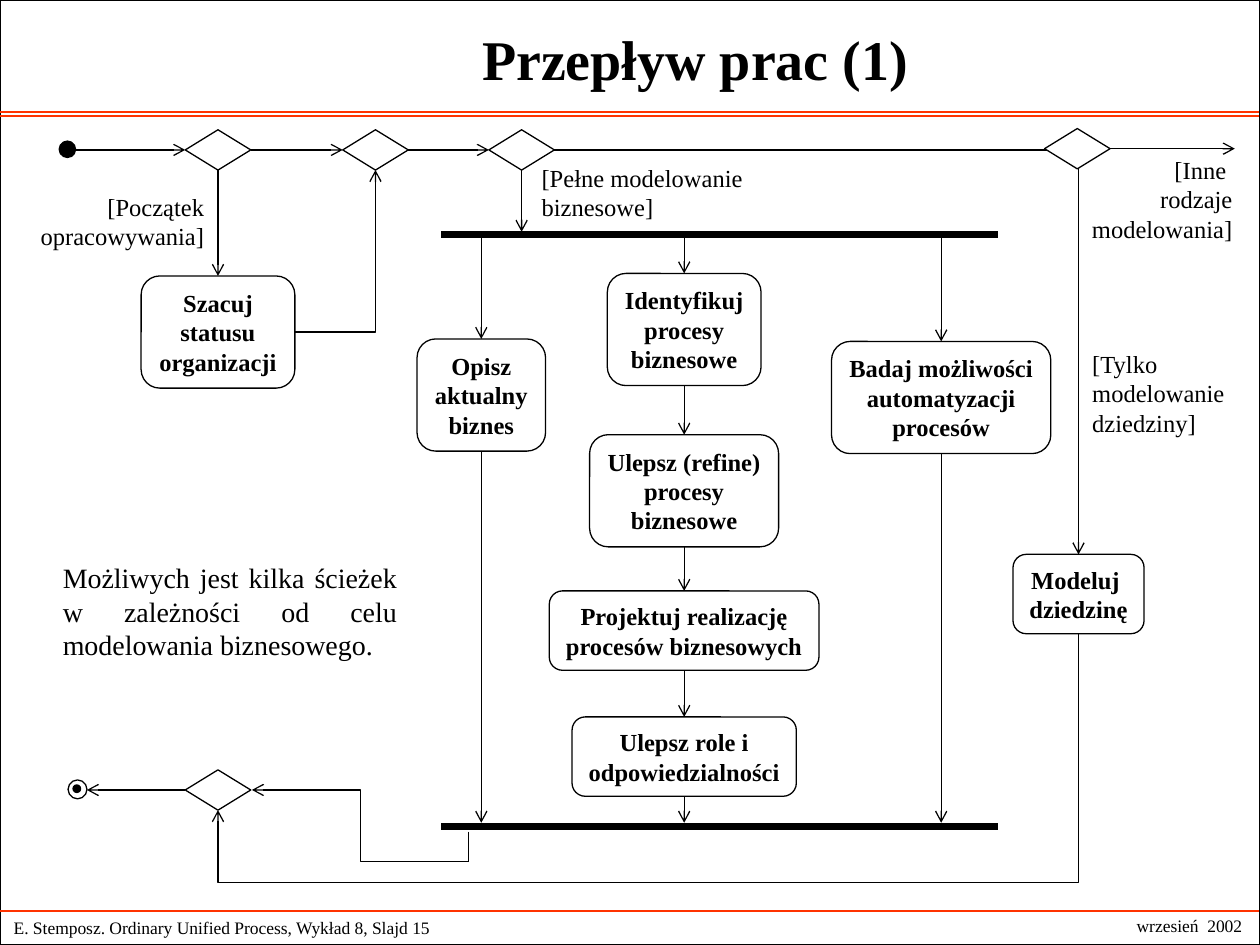
from dataclasses import dataclass

from lxml import etree
from pptx import Presentation
from pptx.dml.color import RGBColor
from pptx.enum.shapes import MSO_CONNECTOR, MSO_SHAPE
from pptx.enum.text import MSO_ANCHOR, MSO_AUTO_SIZE, PP_ALIGN
from pptx.oxml.ns import qn
from pptx.util import Inches, Pt

STRAIGHT, ELBOW = MSO_CONNECTOR.STRAIGHT, MSO_CONNECTOR.ELBOW
RECTANGLE, ROUNDED = MSO_SHAPE.RECTANGLE, MSO_SHAPE.ROUNDED_RECTANGLE
DIAMOND, OVAL = MSO_SHAPE.DIAMOND, MSO_SHAPE.OVAL
LEFT, CENTER, RIGHT, JUSTIFY = PP_ALIGN.LEFT, PP_ALIGN.CENTER, PP_ALIGN.RIGHT, PP_ALIGN.JUSTIFY
TOP, MIDDLE = MSO_ANCHOR.TOP, MSO_ANCHOR.MIDDLE
FIT_SHAPE, FIXED = MSO_AUTO_SIZE.SHAPE_TO_FIT_TEXT, MSO_AUTO_SIZE.NONE
TOP_SIDE, LEFT_SIDE, BOTTOM_SIDE, RIGHT_SIDE = range(4)


@dataclass(frozen=True)
class Theme:
    """Colours, type sizes and line widths of the slide."""
    ink: RGBColor = RGBColor(0, 0, 0)
    paper: RGBColor = RGBColor(255, 255, 255)
    rule: RGBColor = RGBColor(0xFF, 0x33, 0)
    font: str = "Times New Roman"
    title: int = 32
    body: int = 16
    label: int = 14
    footer: int = 10
    thin: float = 0.75
    bar: float = 4


THEME = Theme()


def write(frame, text, size, align, bold=False, wrap=False, fit=FIT_SHAPE, anchor=MIDDLE):
    """Fill a text frame with one paragraph per line, with slack on its loose sides."""
    frame.word_wrap = wrap
    frame.auto_size = fit
    frame.vertical_anchor = anchor
    frame.margin_left = Inches(0.1 if align in (LEFT, JUSTIFY) else 0.05)
    frame.margin_right = Inches(0.1 if align in (RIGHT, JUSTIFY) else 0.05)
    frame.text = text
    for paragraph in frame.paragraphs:
        paragraph.alignment = align
        paragraph.font.name = THEME.font
        paragraph.font.size = Pt(size)
        paragraph.font.bold = bold
        paragraph.font.color.rgb = THEME.ink


def add_text(slide, place, text, size=THEME.label, align=LEFT, **options):
    """Add a text box at left, top, width, height."""
    box = slide.shapes.add_textbox(*map(Inches, place))
    write(box.text_frame, text, size, align, **options)


def add_node(slide, kind, place, fill=None):
    """Add an outlined preset shape, unfilled unless a fill is given."""
    node = slide.shapes.add_shape(kind, *map(Inches, place))
    node.shadow.inherit = False
    node.line.color.rgb = THEME.ink
    node.line.width = Pt(THEME.thin)
    if fill is None:
        node.fill.background()
    else:
        node.fill.solid()
        node.fill.fore_color.rgb = fill
    return node


def add_decision(slide, left, top, fill=None):
    """Add a decision diamond."""
    return add_node(slide, DIAMOND, (left, top, 0.52, 0.32), fill)


def add_activity(slide, place, text):
    """Add a rounded activity box with bold centred text."""
    activity = add_node(slide, ROUNDED, place, THEME.paper)
    write(activity.text_frame, text, THEME.label, CENTER, bold=True)
    return activity


def add_link(slide, start, end, kind=STRAIGHT, arrow=True, color=THEME.ink, width=THEME.thin):
    """Link two ends, each a point in inches or a shape with its side."""
    points = [(0, 0) if hasattr(spot[0], "shape_id") else spot for spot in (start, end)]
    link = slide.shapes.add_connector(kind, *(Inches(n) for point in points for n in point))
    for spot, join in ((start, link.begin_connect), (end, link.end_connect)):
        if hasattr(spot[0], "shape_id"):
            join(*spot)
    link.line.color.rgb = color
    link.line.width = Pt(width)
    if arrow:
        etree.SubElement(link.line._get_or_add_ln(), qn("a:tailEnd"), type="arrow")
    etree.SubElement(link._element.spPr, qn("a:effectLst"))
    return link


def add_corner(slide, start, end):
    """Add an arrow with one bend, leaving sideways."""
    link = add_link(slide, start, end, ELBOW)
    link._element.spPr.find(qn("a:prstGeom")).set("prst", "bentConnector2")


def add_loop_below(slide, start, end, reach):
    """Add an arrow that drops by a ratio of its height and rises into its end."""
    link = add_link(slide, start, end, ELBOW)
    left, top, width, height = link.left, link.top, link.width, link.height
    link.left, link.top = left + (width - height) // 2, top + (height - width) // 2
    link.width, link.height = height, width
    properties = link._element.spPr
    frame = properties.find(qn("a:xfrm"))
    frame.attrib.pop("flipH", None)
    frame.set("rot", str(90 * 60000))
    adjustments = properties.find(qn("a:prstGeom")).find(qn("a:avLst"))
    etree.SubElement(adjustments, qn("a:gd"), name="adj1", fmla=f"val {round(reach * 100000)}")


def add_page_frame(slide):
    """Add the page border, coloured rules, footer and title."""
    add_node(slide, RECTANGLE, (0, 0, 10, 7.5), THEME.paper)
    for y in (0.89, 0.92, 7.23):
        add_link(slide, (-0.01, y), (9.99, y), arrow=False, color=THEME.rule)
    add_text(slide, (0.01, 7.23, 4.48, 0.27),
             "E. Stemposz. Ordinary Unified Process, Wykład 8, Slajd 15", THEME.footer, wrap=True)
    add_text(slide, (8.92, 7.21, 1.04, 0.27), "wrzesień  2002", THEME.footer, CENTER)
    add_text(slide, (1.16, 0, 8.83, 0.92), "Przepływ prac (1) ", THEME.title, CENTER,
             bold=True, wrap=True, fit=FIXED)


def add_workflow(slide):
    """Add the activity diagram."""
    add_node(slide, OVAL, (0.47, 1.12, 0.13, 0.13), THEME.ink)
    opening, status_known, full_model = [add_decision(slide, x, 1.03) for x in (1.47, 2.72, 3.88)]
    closing = add_decision(slide, 1.47, 6.11)
    for y in (1.86, 6.56):
        add_link(slide, (3.5, y), (7.92, y), arrow=False, width=THEME.bar)

    assess = add_activity(slide, (1.12, 2.19, 1.22, 0.89), "Szacuj\nstatusu\norganizacji")
    describe = add_activity(slide, (3.31, 2.69, 1.02, 0.89), "Opisz\naktualny\nbiznes")
    explore = add_activity(slide, (6.6, 2.71, 1.74, 0.89),
                           "Badaj możliwości\nautomatyzacji\nprocesów")
    model = add_activity(slide, (8.04, 4.4, 1.04, 0.63), "Modeluj \ndziedzinę")
    process_steps = [add_activity(slide, place, text) for place, text in (
        ((4.82, 2.17, 1.22, 0.89), "Identyfikuj\nprocesy\nbiznesowe"),
        ((4.68, 3.45, 1.5, 0.89), "Ulepsz (refine)\nprocesy\nbiznesowe"),
        ((4.36, 4.69, 2.14, 0.63), "Projektuj realizację\nprocesów biznesowych"),
        ((4.54, 5.69, 1.78, 0.63), "Ulepsz role i\nodpowiedzialności"),
    )]

    add_link(slide, (0.59, 1.19), (opening, LEFT_SIDE))
    for before, after in ((opening, status_known), (status_known, full_model)):
        add_link(slide, (before, RIGHT_SIDE), (after, LEFT_SIDE))
    add_link(slide, (opening, BOTTOM_SIDE), (assess, TOP_SIDE))
    add_corner(slide, (assess, RIGHT_SIDE), (status_known, BOTTOM_SIDE))
    add_link(slide, (full_model, BOTTOM_SIDE), (4.14, 1.84))

    for x, first, last in ((3.82, describe, describe),
                           (5.43, process_steps[0], process_steps[-1]),
                           (7.47, explore, explore)):
        add_link(slide, (x, 1.88), (first, TOP_SIDE))
        add_link(slide, (last, BOTTOM_SIDE), (x, 6.53))
    for before, after in zip(process_steps, process_steps[1:]):
        add_link(slide, (before, BOTTOM_SIDE), (after, TOP_SIDE))

    add_corner(slide, (full_model, RIGHT_SIDE), (model, TOP_SIDE))
    domain_only = add_decision(slide, 8.29, 1.02, THEME.paper)
    add_link(slide, (domain_only, RIGHT_SIDE), (9.8, 1.18))
    add_loop_below(slide, (model, BOTTOM_SIDE), (closing, BOTTOM_SIDE), 1.41)
    add_link(slide, (3.72, 6.6), (3.72, 6.84), arrow=False)
    add_link(slide, (3.72, 6.84), (2, 6.27), ELBOW)
    add_link(slide, (closing, LEFT_SIDE), (0.69, 6.27))
    add_node(slide, OVAL, (0.58, 6.23, 0.06, 0.06), THEME.ink)
    add_node(slide, OVAL, (0.54, 6.19, 0.15, 0.15))


def add_labels(slide):
    """Add the branch conditions and the remark."""
    add_text(slide, (0.22, 1.47, 1.5, 0.57), "[Początek\nopracowywania]", align=RIGHT)
    add_text(slide, (4.2, 1.24, 1.79, 0.57), "[Pełne modelowanie\nbiznesowe]")
    add_text(slide, (8.57, 2.72, 1.25, 0.8), "[Tylko\nmodelowanie\ndziedziny]")
    add_text(slide, (8.57, 1.18, 1.31, 0.8), "[Inne \nrodzaje\nmodelowania]",
             align=RIGHT, anchor=TOP)
    add_text(slide, (0.4, 4.4, 2.85, 0.9),
             "Możliwych jest kilka ścieżek w zależności od celu modelowania biznesowego.",
             THEME.body, JUSTIFY, wrap=True)


def main():
    """Build and save the slide."""
    deck = Presentation()
    deck.slide_width, deck.slide_height = Inches(10), Inches(7.5)
    slide = deck.slides.add_slide(deck.slide_layouts[6])
    add_page_frame(slide)
    add_workflow(slide)
    add_labels(slide)
    deck.save("out.pptx")


if __name__ == "__main__":
    main()
